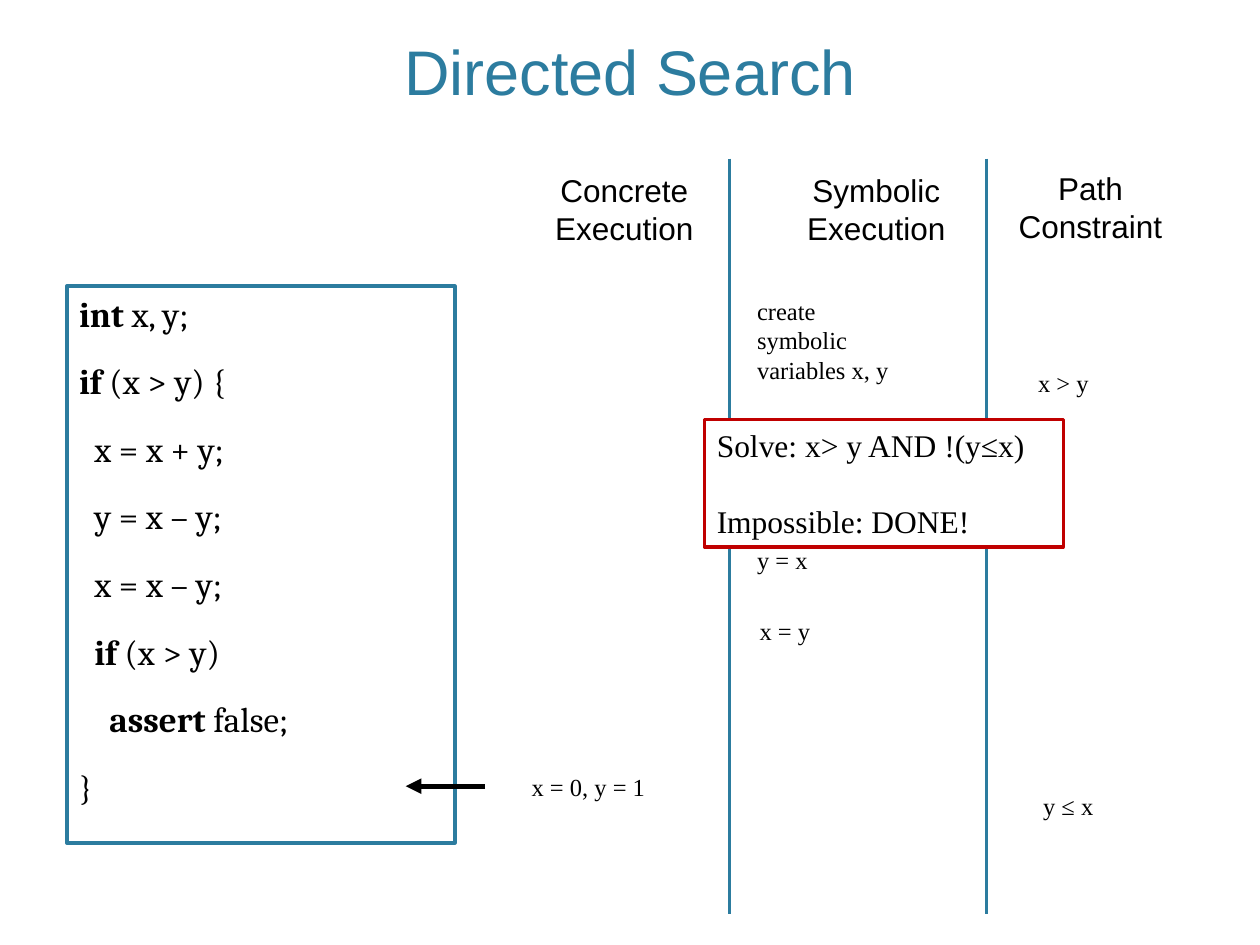
from pptx import Presentation
from pptx.dml.color import RGBColor
from pptx.enum.shapes import MSO_CONNECTOR, MSO_SHAPE
from pptx.enum.text import MSO_ANCHOR, PP_ALIGN
from pptx.oxml.ns import qn
from pptx.util import Inches, Pt
from lxml.etree import SubElement

BLUE, RED, BLACK, WHITE = "2C7C9F", "C00000", "000000", "FFFFFF"
CODE_LINES = [
    (0, "int", " x, y;"),
    (0, "if ", "(x > y) {"),
    (1, "", "x = x + y;"),
    (1, "", "y = x – y;"),
    (1, "", "x = x – y;"),
    (1, "if ", "(x > y)"),
    (2, "assert", " false;"),
    (0, "", "}"),
]
HEADINGS = [
    ("Concrete Execution", (4.12, 1.31, 1.67, 0.7)),
    ("Symbolic Execution", (6.12, 1.31, 1.67, 0.7)),
    ("Path Constraint", (7.82, 1.29, 1.67, 0.7)),
]
STATES = [
    (["x = 0, y = 1"], (4.12, 6.08, 1.11, 0.34), False),
    (["create symbolic", "variables x, y"], (5.91, 2.3, 1.35, 0.8), True),
    (["x > y"], (8.14, 2.87, 0.61, 0.34), False),
    (["y = x"], (5.91, 4.28, 0.62, 0.34), False),
    (["x = y"], (5.93, 4.84, 0.61, 0.34), False),
    (["y ≤ x"], (8.18, 6.23, 0.62, 0.34), False),
]


def color(value):
    """Turn a hex string into a colour."""
    return RGBColor.from_string(value)


def style(paragraph, font_name, size, font_color=BLACK, align=PP_ALIGN.LEFT):
    """Set the font and alignment of a paragraph."""
    paragraph.font.name = font_name
    paragraph.font.size = Pt(size)
    paragraph.font.color.rgb = color(font_color)
    paragraph.alignment = align


def add_text(slide, box, lines, font_name, size, font_color=BLACK,
             align=PP_ALIGN.LEFT, wrap=True):
    """Add a text box with one paragraph for each line."""
    frame = slide.shapes.add_textbox(*map(Inches, box)).text_frame
    frame.word_wrap = wrap
    frame.text = "\n".join(lines)
    for paragraph in frame.paragraphs:
        style(paragraph, font_name, size, font_color, align)
    return frame


def add_panel(slide, box, line_color):
    """Add a white outlined rectangle and return its text frame."""
    shape = slide.shapes.add_shape(MSO_SHAPE.RECTANGLE, *map(Inches, box))
    shape.shadow.inherit = False
    shape.fill.solid()
    shape.fill.fore_color.rgb = color(WHITE)
    shape.line.color.rgb = color(line_color)
    shape.line.width = Pt(2)
    frame = shape.text_frame
    frame.word_wrap = True
    frame.vertical_anchor = MSO_ANCHOR.TOP
    return frame


def add_line(slide, ends, line_color, width, arrow=False):
    """Add a straight line, with an arrowhead at its end if asked."""
    connector = slide.shapes.add_connector(MSO_CONNECTOR.STRAIGHT, *map(Inches, ends))
    connector.line.color.rgb = color(line_color)
    connector.line.width = Pt(width)
    if arrow:
        SubElement(connector.line._get_or_add_ln(), qn("a:tailEnd"), type="triangle")
    SubElement(connector._element.spPr, qn("a:effectLst"))


def add_title(slide, box):
    """Add the slide title, resting on the bottom of its box."""
    frame = add_text(slide, box, ["Directed Search"], "Arial", 36, BLUE, PP_ALIGN.CENTER)
    frame.vertical_anchor = MSO_ANCHOR.BOTTOM


def add_execution_columns(slide, top, bottom):
    """Add the column headings, states and dividers."""
    for heading, box in HEADINGS:
        add_text(slide, box, [heading], "Arial", 18, align=PP_ALIGN.CENTER)
    for lines, box, wrap in STATES:
        add_text(slide, box, lines, "Times New Roman", 14, wrap=wrap)
    for left in (5.79, 7.83):
        add_line(slide, (left, top, left, bottom), BLUE, 2)


def add_code(slide, box):
    """Add the program listing with bold keywords."""
    frame = add_panel(slide, box, BLUE)
    for index, (level, keyword, rest) in enumerate(CODE_LINES):
        paragraph = frame.add_paragraph() if index else frame.paragraphs[0]
        style(paragraph, "Cambria", 20)
        paragraph.space_before = Pt(14.6 if index else 0)
        paragraph._p.get_or_add_pPr().set("marL", str(Inches(0.12 * level)))
        if keyword:
            run = paragraph.add_run()
            run.text = keyword
            run.font.bold = True
        paragraph.add_run().text = rest


def add_solver_result(slide, box):
    """Add the solver query and its outcome."""
    frame = add_panel(slide, box, RED)
    frame.text = "Solve: x> y AND !(y≤x)\nImpossible: DONE!"
    for paragraph in frame.paragraphs:
        style(paragraph, "Times New Roman", 18)
    frame.paragraphs[1].space_before = Pt(22)


def main():
    """Build and save the slide."""
    presentation = Presentation()
    presentation.slide_width = Inches(10)
    presentation.slide_height = Inches(7.5)
    slide = presentation.slides.add_slide(presentation.slide_layouts[6])
    add_title(slide, (0.6, -0.55, 8.8, 1.46))
    add_execution_columns(slide, 1.26, 7.25)
    add_code(slide, (0.53, 2.27, 3.08, 4.42))
    add_line(slide, (3.85, 6.24, 3.22, 6.24), BLACK, 3, arrow=True)
    add_solver_result(slide, (5.59, 3.33, 2.85, 1.01))
    presentation.save("out.pptx")


if __name__ == "__main__":
    main()
